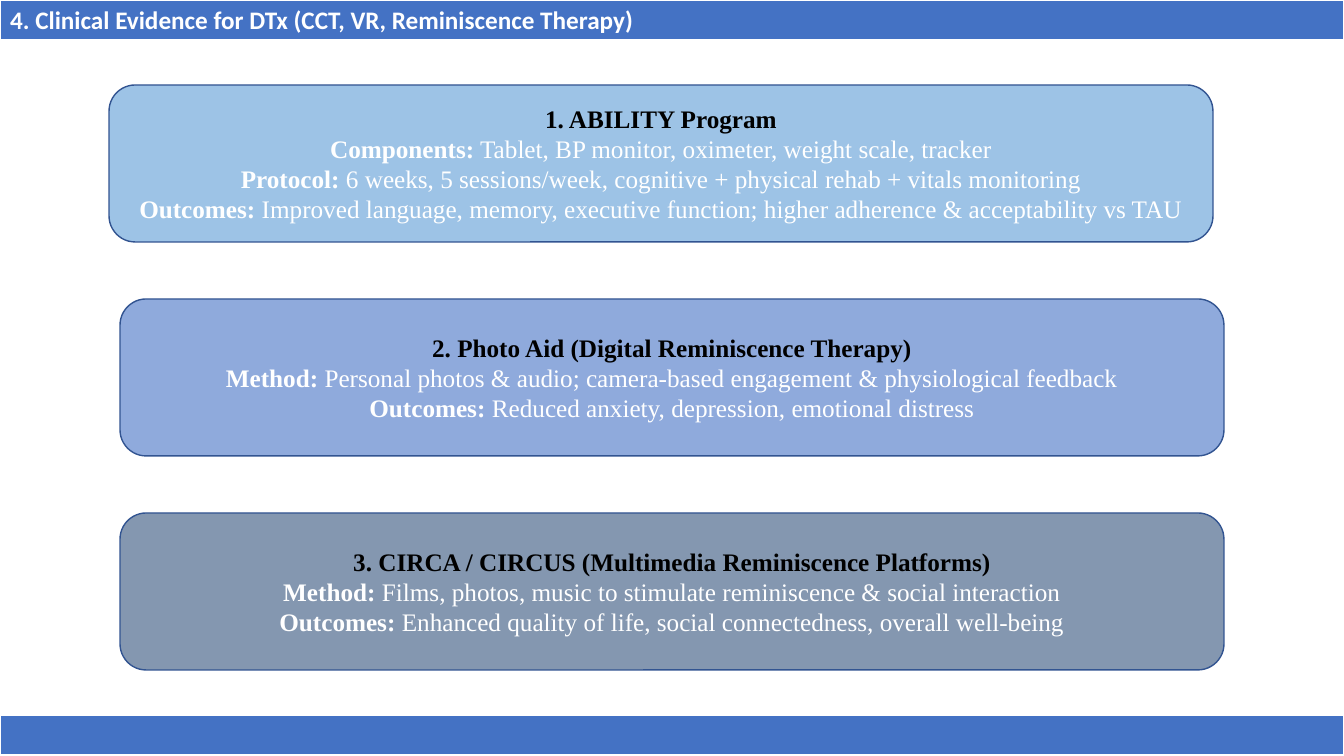
from lxml import etree
from pptx import Presentation
from pptx import util as u
from pptx.dml.color import RGBColor
from pptx.enum import shapes, text
from pptx.oxml import ns


def rgb(value):
    return RGBColor.from_string(value)


def px(value):
    return u.Inches(value / 100.8)


class Deck:
    bar_fill = "4472C4"
    outline = "325491"
    white = "FFFFFF"
    black = "000000"
    title_font = "Calibri"
    body_font = "Times New Roman"
    size = 18

    def __init__(self, width, height):
        self.prs = Presentation()
        self.prs.slide_width = px(width)
        self.prs.slide_height = px(height)
        self.s = self.prs.slides.add_slide(self.prs.slide_layouts[6])

    def run(self, p, content, font, color, bold):
        r = p.add_run()
        r.text = content
        r.font.name = font
        r.font.size = u.Pt(self.size)
        r.font.bold = bold
        r.font.color.rgb = rgb(color)

    def border(self, cell, index, side, points):
        ln = etree.Element(ns.qn(f"a:ln{side}"), w=str(u.Pt(points)))
        fill = etree.SubElement(ln, ns.qn("a:solidFill"))
        etree.SubElement(fill, ns.qn("a:srgbClr"), val=self.white)
        cell._tc.get_or_add_tcPr().insert(index, ln)

    def bar(self, y, width, height, title=""):
        table = self.s.shapes.add_table(1, 1, 0, px(y), px(width), px(height)).table
        table.first_row = False
        table.horz_banding = False
        cell = table.cell(0, 0)
        cell.fill.solid()
        cell.fill.fore_color.rgb = rgb(self.bar_fill)
        for index, (side, points) in enumerate(zip("LRTB", (1, 1, 1, 3))):
            self.border(cell, index, side, points)
        if title:
            p = cell.text_frame.paragraphs[0]
            self.run(p, title, self.title_font, self.white, True)

    def card(self, x, y, width, height, fill, heading, facts):
        kind = shapes.MSO_SHAPE.ROUNDED_RECTANGLE
        sp = self.s.shapes.add_shape(kind, px(x), px(y), px(width), px(height))
        sp.shadow.inherit = False
        sp.fill.solid()
        sp.fill.fore_color.rgb = rgb(fill)
        sp.line.color.rgb = rgb(self.outline)
        sp.line.width = u.Pt(1)
        tf = sp.text_frame
        tf.word_wrap = True
        tf.vertical_anchor = text.MSO_ANCHOR.MIDDLE
        p = tf.paragraphs[0]
        p.alignment = text.PP_ALIGN.CENTER
        self.run(p, heading, self.body_font, self.black, True)
        for label, detail in facts:
            p = tf.add_paragraph()
            p.alignment = text.PP_ALIGN.CENTER
            self.run(p, f"{label}:", self.body_font, self.white, True)
            self.run(p, f" {detail}", self.body_font, self.white, False)


PROGRAMS = [
    (109, "9DC3E6", "1. ABILITY Program", [
        ("Components", "Tablet, BP monitor, oximeter, weight scale, tracker"),
        ("Protocol", "6 weeks, 5 sessions/week, cognitive + physical rehab + vitals monitoring"),
        ("Outcomes", "Improved language, memory, executive function; "
                     "higher adherence & acceptability vs TAU"),
    ]),
    (120, "8FAADC", "2. Photo Aid (Digital Reminiscence Therapy)", [
        ("Method", "Personal photos & audio; camera-based engagement & physiological feedback"),
        ("Outcomes", "Reduced anxiety, depression, emotional distress"),
    ]),
    (120, "8497B0", "3. CIRCA / CIRCUS (Multimedia Reminiscence Platforms)", [
        ("Method", "Films, photos, music to stimulate reminiscence & social interaction"),
        ("Outcomes", "Enhanced quality of life, social connectedness, overall well-being"),
    ]),
]


def main():
    width, height, bar_height = 1344, 756, 41
    deck = Deck(width, height)
    deck.bar(0, width, bar_height,
             "4. Clinical Evidence for DTx (CCT, VR, Reminiscence Therapy)")
    deck.bar(height - bar_height, width, bar_height)
    for i, (x, fill, heading, facts) in enumerate(PROGRAMS):
        deck.card(x, 85 + 214 * i, 1104, 157, fill, heading, facts)
    deck.prs.save("out.pptx")


if __name__ == "__main__":
    main()
